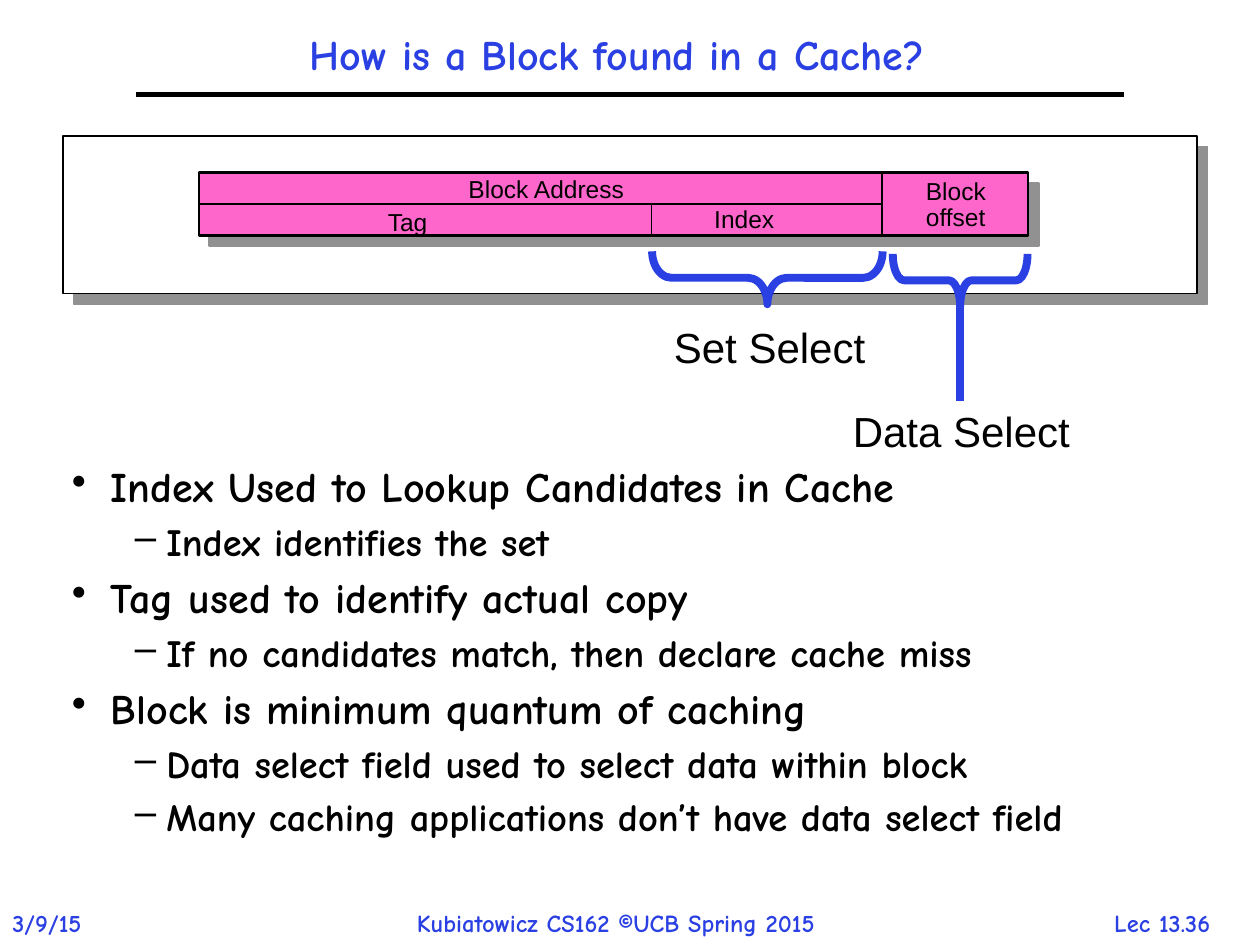
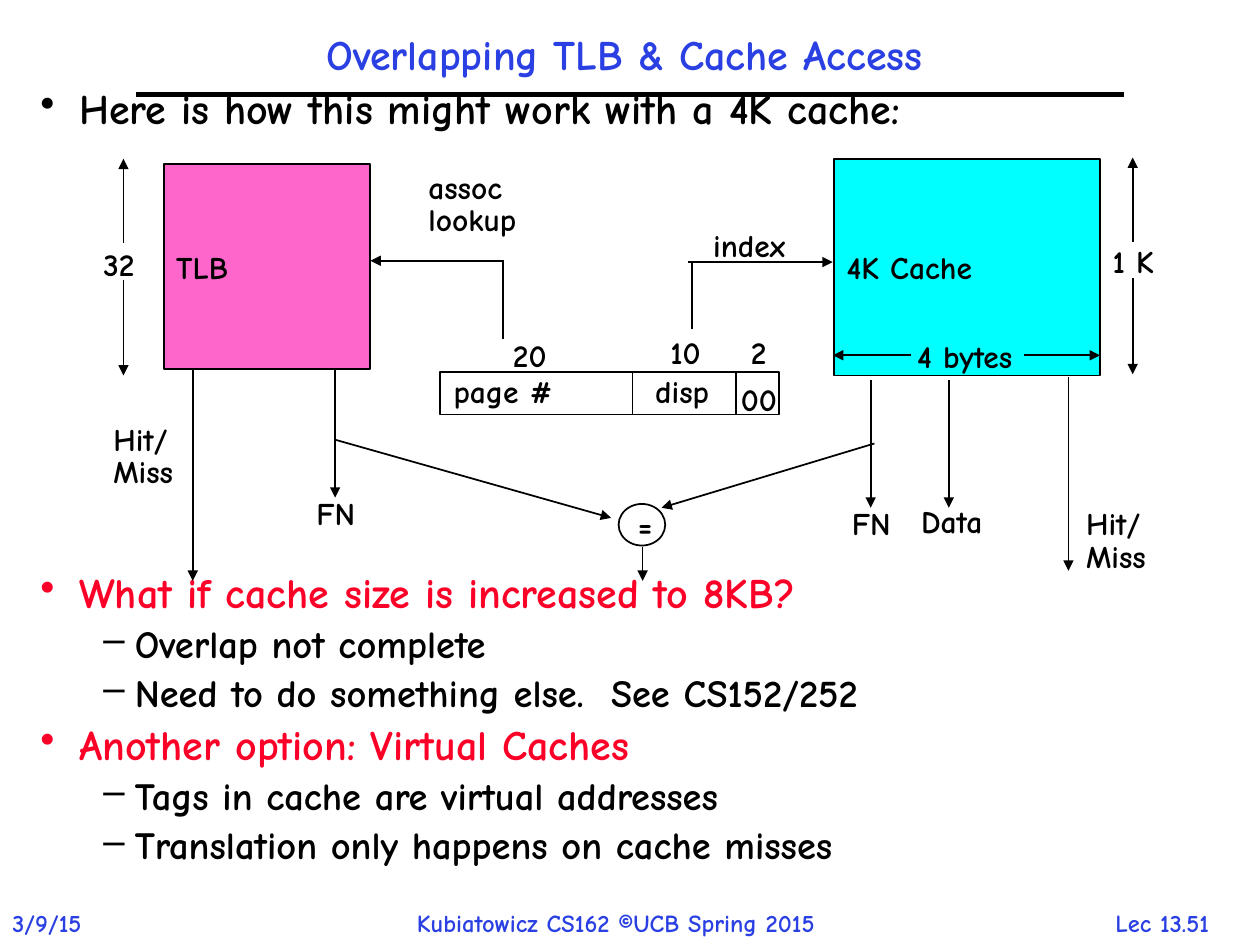
from dataclasses import dataclass

import lxml.etree
import pptx
import pptx.dml.color
import pptx.enum.shapes
import pptx.enum.text
import pptx.oxml
import pptx.oxml.ns
import pptx.util

SHAPES = pptx.enum.shapes.MSO_SHAPE
ALIGN = pptx.enum.text.PP_ALIGN
ANCHOR = pptx.enum.text.MSO_ANCHOR
FIT = pptx.enum.text.MSO_AUTO_SIZE
COLUMNS, ROWS = 100, 75
CELL = pptx.util.Inches(0.1)


@dataclass(frozen=True)
class Theme:
    hand: str = "Comic Neue"
    plain: str = "Arial"
    blue: str = "2A40E2"
    pink: str = "FF66CC"
    cyan: str = "00FFFF"
    red: str = "FC0128"
    black: str = "000000"
    white: str = "FFFFFF"
    shadow: str = "919191"
    title: int = 24
    bullet: int = 24
    dash: int = 22
    label: int = 18
    small: int = 14


THEME = Theme()
WIDE_INSETS = (0.1, 0.05)
TIGHT_INSETS = (0.07, 0.03)


@dataclass(frozen=True)
class Box:
    left: float
    top: float
    columns: float
    rows: float

    def inner(self, left, top, columns, rows):
        return Box(self.left + left, self.top + top, columns, rows)

    def point(self, column, row):
        return round((self.left + column) * CELL), round((self.top + row) * CELL)

    def frame(self):
        return (*self.point(0, 0), round(self.columns * CELL), round(self.rows * CELL))


def rgb(color):
    return pptx.dml.color.RGBColor.from_string(color)


def style_font(font, size, color=THEME.black, name=THEME.hand):
    font.size = pptx.util.Pt(size)
    font.name = name
    font.bold = name == THEME.hand
    font.color.rgb = rgb(color)


def set_insets(text_frame, insets):
    text_frame.margin_left = text_frame.margin_right = pptx.util.Inches(insets[0])
    text_frame.margin_top = text_frame.margin_bottom = pptx.util.Inches(insets[1])


def write(text_frame, text, size, color=THEME.black, name=THEME.hand,
          spacing=None, insets=WIDE_INSETS, align=ALIGN.LEFT):
    set_insets(text_frame, insets)
    text_frame.word_wrap = False
    text_frame.text = text
    for paragraph in text_frame.paragraphs:
        paragraph.alignment = align
        paragraph.line_spacing = spacing
        for run in paragraph.runs:
            style_font(run.font, size, color, name)


def add_text(slide, box, text, size, **style):
    shape = slide.shapes.add_textbox(*box.frame())
    write(shape.text_frame, text, size, **style)
    shape.text_frame.auto_size = FIT.SHAPE_TO_FIT_TEXT


def add_label(slide, box, text):
    add_text(slide, box, text, THEME.label, spacing=0.85, insets=TIGHT_INSETS)


def add_outline(slide, box, fill=None, kind=SHAPES.RECTANGLE, width=1, color=THEME.black):
    shape = slide.shapes.add_shape(kind, *box.frame())
    shape.shadow.inherit = False
    if fill:
        shape.fill.solid()
        shape.fill.fore_color.rgb = rgb(fill)
    else:
        shape.fill.background()
    shape.line.color.rgb = rgb(color)
    shape.line.width = pptx.util.Pt(width)
    return shape


def add_named_shape(slide, box, text, fill=None, kind=SHAPES.RECTANGLE):
    shape = add_outline(slide, box, fill, kind)
    write(shape.text_frame, text, THEME.label)
    shape.text_frame.vertical_anchor = ANCHOR.MIDDLE


def cast_shadow(shape):
    effects = shape._element.spPr.find(pptx.oxml.ns.qn("a:effectLst"))
    effects.append(pptx.oxml.parse_xml(
        f'<a:outerShdw {pptx.oxml.ns.nsdecls("a")} blurRad="0" dist="107950" dir="2700000"'
        f' algn="ctr" rotWithShape="0"><a:srgbClr val="{THEME.shadow}"/></a:outerShdw>'))


def add_line(slide, box, start, end, arrow=False, width=1, color=THEME.black):
    line = slide.shapes.add_connector(
        pptx.enum.shapes.MSO_CONNECTOR.STRAIGHT, *box.point(*start), *box.point(*end))
    line.line.color.rgb = rgb(color)
    line.line.width = pptx.util.Pt(width)
    if arrow:
        lxml.etree.SubElement(line.line._get_or_add_ln(), pptx.oxml.ns.qn("a:tailEnd"),
                              type="triangle")
    lxml.etree.SubElement(line._element.spPr, pptx.oxml.ns.qn("a:effectLst"))


def add_arrow(slide, box, start, end):
    add_line(slide, box, start, end, arrow=True)


def add_bullets(slide, box, items, gap):
    shape = slide.shapes.add_textbox(*box.frame())
    text_frame = shape.text_frame
    text_frame.word_wrap = True
    set_insets(text_frame, TIGHT_INSETS)
    text_frame.text = "\n".join(text for _, text, _ in items)
    levels = (("•", 0.31, 0.31, THEME.bullet), ("–", 0.75, 0.25, THEME.dash))
    for index, (paragraph, (level, _, color)) in enumerate(zip(text_frame.paragraphs, items)):
        mark, margin, hanging, size = levels[level]
        paragraph.level = level
        paragraph.line_spacing = 0.9
        paragraph.space_before = pptx.util.Pt(size * gap if index else 0)
        properties = paragraph._p.get_or_add_pPr()
        properties.set("marL", str(pptx.util.Inches(margin)))
        properties.set("indent", str(-pptx.util.Inches(hanging)))
        lxml.etree.SubElement(properties, pptx.oxml.ns.qn("a:buChar"), char=mark)
        for run in paragraph.runs:
            style_font(run.font, size, color)


def add_page(presentation, title, title_box, number):
    slide = presentation.slides.add_slide(presentation.slide_layouts[5])
    page = Box(0, 0, COLUMNS, ROWS)
    add_line(slide, page, (10.8, 7.5), (89.2, 7.5), width=3)
    for box, text, align in (
            (page.inner(85.6, 71.6, 13.3, 3.3), number, ALIGN.CENTER),
            (page.inner(0, 71.6, 8.8, 3.4), "3/9/15", ALIGN.LEFT),
            (page.inner(32.1, 71.6, 38.7, 3.4), "Kubiatowicz CS162 ©UCB Spring 2015", ALIGN.LEFT)):
        add_text(slide, box, text, THEME.small, color=THEME.blue, align=align)
    heading = slide.shapes.title
    heading.left, heading.top, heading.width, heading.height = title_box.frame()
    write(heading.text_frame, title, THEME.title, THEME.blue, spacing=0.9, align=ALIGN.CENTER)
    heading.text_frame.word_wrap = True
    heading.text_frame.auto_size = FIT.NONE
    heading.text_frame.vertical_anchor = ANCHOR.MIDDLE
    return slide


def add_address_fields(slide, box):
    cast_shadow(add_outline(slide, box, THEME.white))
    address = box.inner(10.8, 2.9, 65.8, 5)
    cast_shadow(add_outline(slide, address, THEME.pink, width=1.5))
    half = address.rows / 2
    for field in ((0, half, 54.2, half), (35.9, half, 18.3, half), (54.2, 0, 11.6, address.rows)):
        add_outline(slide, address.inner(*field))
    for place, text, spacing in (
            ((56.7, 0, 6.8, 5.2), "Block\noffset", 0.9),
            ((20.4, -0.4, 14.4, 3.3), "Block Address", None),
            ((14, 2.2, 5.3, 3.3), "Tag", None),
            ((39.9, 2, 6.8, 3.3), "Index", None)):
        add_text(slide, address.inner(*place), text, THEME.small, name=THEME.plain, spacing=spacing)


def add_selects(slide, box):
    for place, curve in (((7.1, -9.6, 4.2, 18.3), 0.367), ((22.4, -5.6, 4.2, 10.7), 0.214)):
        brace = add_outline(slide, box.inner(*place), kind=SHAPES.RIGHT_BRACE,
                            width=4.5, color=THEME.blue)
        brace.adjustments[0] = curve
        brace.rotation = 90
    for place, text in (((0.8, 2.5, 17.2, 5), "Set Select"), ((15, 9.2, 19.3, 5), "Data Select")):
        add_text(slide, box.inner(*place), text, THEME.title, name=THEME.plain)
    add_line(slide, box, (24.5, 1.8), (24.5, 9.3), width=4.5, color=THEME.blue)


def add_tlb(slide, box):
    add_named_shape(slide, box.inner(6, 1, 16.4, 16.3), "TLB", THEME.pink)
    add_label(slide, box.inner(0.5, 7.6, 4.4, 3.1), "32")
    add_label(slide, box.inner(1.3, 21.5, 6.7, 5.7), "Hit/\nMiss")
    add_label(slide, box.inner(17.4, 27.4, 4.9, 3.1), "FN")
    for column, start, end in ((2.8, 7.3, 0.6), (2.8, 10.2, 17.8),
                               (8.3, 17.4, 34.1), (19.6, 17.4, 27.5)):
        add_arrow(slide, box, (column, start), (column, end))


def add_cache(slide, box):
    add_named_shape(slide, box.inner(0.2, 0.6, 21.1, 17.2), "4K Cache", THEME.cyan)
    for place, text in (
            ((6.1, 14.9, 10.7, 3.1), "4 bytes"),
            ((21.6, 7.4, 5.5, 3.1), "1 K"),
            ((0.9, 28.2, 4.9, 3.1), "FN"),
            ((6.4, 28, 7.2, 3.1), "Data"),
            ((19.5, 28.2, 6.7, 5.7), "Hit/\nMiss")):
        add_label(slide, box.inner(*place), text)
    for start, end in ((15.3, 21.3), (6.3, 0.1)):
        add_arrow(slide, box, (start, 16.2), (end, 16.2))
    for column, start, end in ((23.9, 7.2, 0.5), (23.9, 10.1, 17.7), (18.8, 17.9, 33.3),
                               (3.1, 18.2, 28.3), (9.3, 18.2, 28.3)):
        add_arrow(slide, box, (column, start), (column, end))


def add_virtual_address(slide, box):
    add_outline(slide, box.inner(5.9, 16.5, 26.9, 3.4))
    for column, start, end in ((29.4, 16.5, 19.9), (21.2, 16.5, 19.9),
                               (10.9, 7.8, 13.9), (25.9, 7.8, 13.1)):
        add_line(slide, box, (column, start), (column, end))
    for place, text in (
            ((11, 13.8, 4.5, 3.1), "20"),
            ((23.5, 13.6, 4.4, 3.1), "10"),
            ((29.9, 13.6, 2.9, 3.1), "2"),
            ((6.3, 16.7, 10, 3.1), "page #"),
            ((22.3, 16.7, 6.1, 3.1), "disp"),
            ((29.1, 17.3, 4.4, 3.1), "00"),
            ((4.3, 0.5, 8.7, 5.7), "assoc\nlookup"),
            ((26.9, 5.1, 7.7, 3.1), "index")):
        add_label(slide, box.inner(*place), text)
    add_arrow(slide, box, (11, 7.7), (0.4, 7.7))
    add_arrow(slide, box, (25.6, 7.8), (37.1, 7.8))


def add_comparator(slide, box):
    add_named_shape(slide, box.inner(23.1, 6, 3.7, 3.3), "=", kind=SHAPES.OVAL)
    for start, end in (((43.4, 1.2), (26.5, 6.3)), ((0.6, 0.9), (22.5, 7.1)),
                       ((25, 9.4), (25, 12.1))):
        add_arrow(slide, box, start, end)


def build_block_slide(presentation):
    slide = add_page(presentation, "How is a Block found in a Cache?",
                     Box(8.4, 2.5, 81.1, 4), "Lec 13.36")
    add_bullets(slide, Box(5, 36.7, 90.8, 36.1), (
        (0, "Index Used to Lookup Candidates in Cache", THEME.black),
        (1, "Index identifies the set", THEME.black),
        (0, "Tag used to identify actual copy", THEME.black),
        (1, "If no candidates match, then declare cache miss", THEME.black),
        (0, "Block is minimum quantum of caching", THEME.black),
        (1, "Data select field used to select data within block", THEME.black),
        (1, "Many caching applications don’t have data select field", THEME.black)), 0.3)
    add_address_fields(slide, Box(5, 10.8, 90, 12.5))
    add_selects(slide, Box(51.7, 22.5, 35, 15))


def build_overlap_slide(presentation):
    slide = add_page(presentation, "Overlapping TLB & Cache Access",
                     Box(10.8, 2.5, 77.5, 4), "Lec 13.51")
    add_bullets(slide, Box(2.5, 6.7, 93.3, 4.2), (
        (0, "Here is how this might work with a 4K cache:", THEME.black),), 0.2)
    add_bullets(slide, Box(2.5, 45.1, 93.3, 25.8), (
        (0, "What if cache size is increased to 8KB?", THEME.red),
        (1, "Overlap not complete", THEME.black),
        (1, "Need to do something else.  See CS152/252", THEME.black),
        (0, "Another option: Virtual Caches", THEME.red),
        (1, "Tags in cache are virtual addresses", THEME.black),
        (1, "Translation only happens on cache misses", THEME.black)), 0.2)
    add_tlb(slide, Box(7, 12, 23, 35))
    add_cache(slide, Box(66, 12, 28, 35))
    add_virtual_address(slide, Box(29, 13, 38, 21))
    add_comparator(slide, Box(26, 34, 44, 13))


def main():
    presentation = pptx.Presentation()
    presentation.slide_width = COLUMNS * CELL
    presentation.slide_height = ROWS * CELL
    build_block_slide(presentation)
    build_overlap_slide(presentation)
    presentation.save("out.pptx")


if __name__ == "__main__":
    main()
